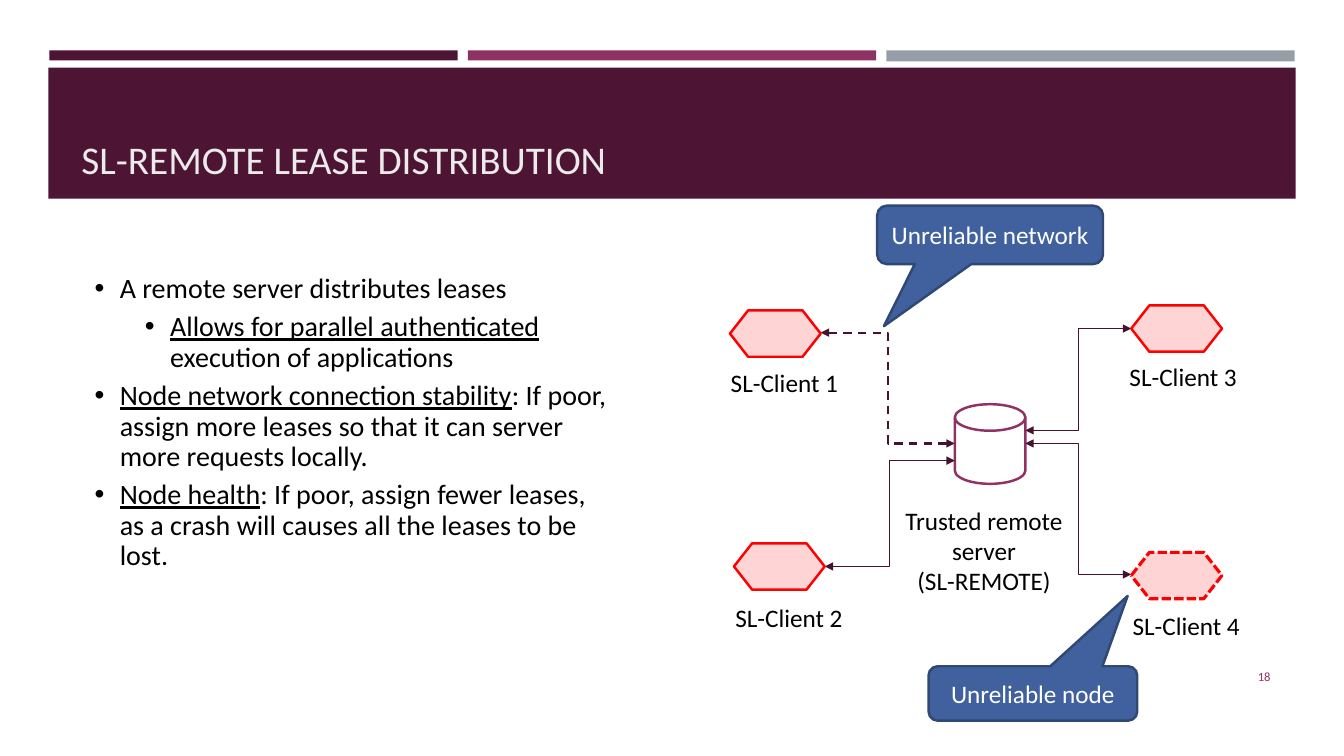
from typing import NamedTuple

from lxml import etree
from pptx import Presentation
from pptx.dml.color import RGBColor
from pptx.enum.dml import MSO_LINE
from pptx.enum.shapes import MSO_CONNECTOR, MSO_SHAPE
from pptx.enum.text import MSO_ANCHOR, PP_ALIGN
from pptx.oxml.ns import qn
from pptx.util import Emu, Pt

PX = 9144  # 100 px to the inch
RECT = MSO_SHAPE.RECTANGLE
CAN = MSO_SHAPE.FLOWCHART_MAGNETIC_DISK
HEX = MSO_SHAPE.FLOWCHART_PREPARATION
BUBBLE = MSO_SHAPE.ROUNDED_RECTANGULAR_CALLOUT
ELBOW = MSO_CONNECTOR.ELBOW
DASH, DOTS = MSO_LINE.DASH, MSO_LINE.SQUARE_DOT
LEFT, MID, RIGHT = PP_ALIGN.LEFT, PP_ALIGN.CENTER, PP_ALIGN.RIGHT
TOP, CENTER = MSO_ANCHOR.TOP, MSO_ANCHOR.MIDDLE

PLUM, ROSE, GREY, WIRE = "4D1434", "903163", "969FA7", "45122F"
RED, BLUE, NAVY = "FF0000", "40619D", "2F4874"
BLACK, WHITE, PALE = "000000", "FFFFFF", "EBEBEB"


class Box(NamedTuple):
    x: int
    y: int
    w: int
    h: int


class Bar(NamedTuple):
    box: Box
    fill: str


class Client(NamedTuple):
    name: str
    node: Box
    label: Box
    start: tuple[int, int]
    end: tuple[int, int]
    wire: float = 1
    style: MSO_LINE | None = None
    edge: float = 1.75
    rim: MSO_LINE | None = None


class Note(NamedTuple):
    text: str
    box: Box
    tip: tuple[float, float]


class Point(NamedTuple):
    stress: str
    plain: str
    level: int = 0


BARS = [
    Bar(Box(49, 50, 405, 10), PLUM),
    Bar(Box(464, 50, 405, 10), ROSE),
    Bar(Box(879, 50, 405, 11), GREY),
    Bar(Box(48, 67, 1237, 130), PLUM),
]
POINTS = [
    Point("", "A remote server distributes leases"),
    Point("Allows for parallel authenticated ", "execution of applications", 1),
    Point("Node network connection stability",
          ": If poor, assign more leases so that it can server more requests locally."),
    Point("Node health",
          ": If poor, assign fewer leases, as a crash will causes all the leases to be lost."),
]
CLIENTS = [
    Client("SL-Client 1", Box(724, 308, 90, 46), Box(710, 359, 136, 40),
           (814, 330), (947, 440), wire=1.5, style=DASH),
    Client("SL-Client 2", Box(728, 539, 90, 46), Box(715, 593, 135, 40),
           (818, 562), (947, 457)),
    Client("SL-Client 3", Box(1122, 303, 90, 46), Box(1105, 354, 137, 40),
           (1017, 427), (1122, 326)),
    Client("SL-Client 4", Box(1122, 548, 90, 46), Box(1108, 601, 137, 40),
           (1122, 570), (1017, 440), edge=2.25, rim=DOTS),
]
NOTES = [
    Note("Unreliable network", Box(870, 204, 224, 58), (-0.47, 1.563)),
    Note("Unreliable node", Box(921, 661, 207, 54), (0.454, -1.792)),
]

deck = Presentation()
deck.slide_width, deck.slide_height = Emu(1333 * PX), Emu(750 * PX)
slide = deck.slides.add_slide(deck.slide_layouts[6])
shapes = slide.shapes


def emu(*nums: int) -> list[Emu]:
    return [Emu(n * PX) for n in nums]


def rgb(code: str) -> RGBColor:
    return RGBColor.from_string(code)


def put(item, form: dict) -> None:
    for key, value in form.items():
        setattr(item, key, value)


def write(para, text: str, size: float, color: str, line: bool = False) -> None:
    run = para.add_run()
    run.text = text
    put(run.font, {"name": "Calibri", "size": Pt(size), "underline": line})
    run.font.color.rgb = rgb(color)


def fill_text(shape, lines: list[str], size: float, color: str, align=MID, anchor=CENTER) -> None:
    frame = shape.text_frame
    put(frame, {"word_wrap": True, "vertical_anchor": anchor})
    for i, text in enumerate(lines):
        para = frame.add_paragraph() if i else frame.paragraphs[0]
        para.alignment = align
        write(para, text, size, color)


def label(box: Box, lines: list[str], size: float, color: str, align=MID, anchor=TOP) -> None:
    fill_text(shapes.add_textbox(*emu(*box)), lines, size, color, align, anchor)


def draw(kind: MSO_SHAPE, box: Box, fill: str, edge: str = "", width: float = 1.75, style=None):
    shape = shapes.add_shape(kind, *emu(*box))
    shape.shadow.inherit = False
    shape.fill.solid()
    shape.fill.fore_color.rgb = rgb(fill)
    if edge:
        shape.line.color.rgb = rgb(edge)
        put(shape.line, {"width": Pt(width), "dash_style": style})
    else:
        shape.line.fill.background()
    return shape


def join(start: tuple[int, int], end: tuple[int, int], width: float, style) -> None:
    wire = shapes.add_connector(ELBOW, *emu(*start, *end))
    wire.line.color.rgb = rgb(WIRE)
    put(wire.line, {"width": Pt(width), "dash_style": style})
    props = wire.line._get_or_add_ln()
    for tag in ("a:headEnd", "a:tailEnd"):
        etree.SubElement(props, qn(tag), type="triangle")
    etree.SubElement(wire._element.spPr, qn("a:effectLst"))


def bullets(box: Box, points: list[Point]) -> None:
    frame = shapes.add_textbox(*emu(*box)).text_frame
    frame.word_wrap = True
    for i, point in enumerate(points):
        para = frame.add_paragraph() if i else frame.paragraphs[0]
        put(para, {"level": point.level, "line_spacing": 0.9, "space_after": Pt(6)})
        props = para._p.get_or_add_pPr()
        props.set("marL", str((38 + 50 * point.level) * PX))
        props.set("indent", str(-25 * PX))
        etree.SubElement(props, qn("a:buFont"), typeface="Arial")
        etree.SubElement(props, qn("a:buChar"), char="•")
        if point.stress:
            write(para, point.stress, 20, BLACK, True)
        write(para, point.plain, 20, BLACK)


# Header bars, title, page number
for bar in BARS:
    draw(RECT, bar.box, bar.fill)
label(Box(71, 69, 689, 177), ["SL-REMOTE LEASE DISTRIBUTION"], 28, PALE, LEFT, CENTER)
label(Box(1155, 651, 115, 40), ["18"], 9, ROSE, RIGHT, CENTER)

# Bullet list
bullets(Box(71, 267, 550, 430), POINTS)

# Server
draw(CAN, Box(947, 401, 70, 79), WHITE, ROSE)
label(Box(888, 496, 176, 101), ["Trusted remote server", "(SL-REMOTE)"], 18, BLACK)

# Clients and their links
for client in CLIENTS:
    join(client.start, client.end, client.wire, client.style)
    node = draw(HEX, client.node, RED, RED, client.edge, client.rim)
    tint = node._element.spPr.find(qn("a:solidFill"))[0]
    etree.SubElement(tint, qn("a:alpha"), val="17000")
    label(client.label, [client.name], 18, BLACK)

# Callouts
for note in NOTES:
    bubble = draw(BUBBLE, note.box, BLUE, NAVY)
    for i, value in enumerate((*note.tip, 0.167)):
        bubble.adjustments[i] = value
    fill_text(bubble, [note.text], 18, WHITE)

deck.save("out.pptx")
